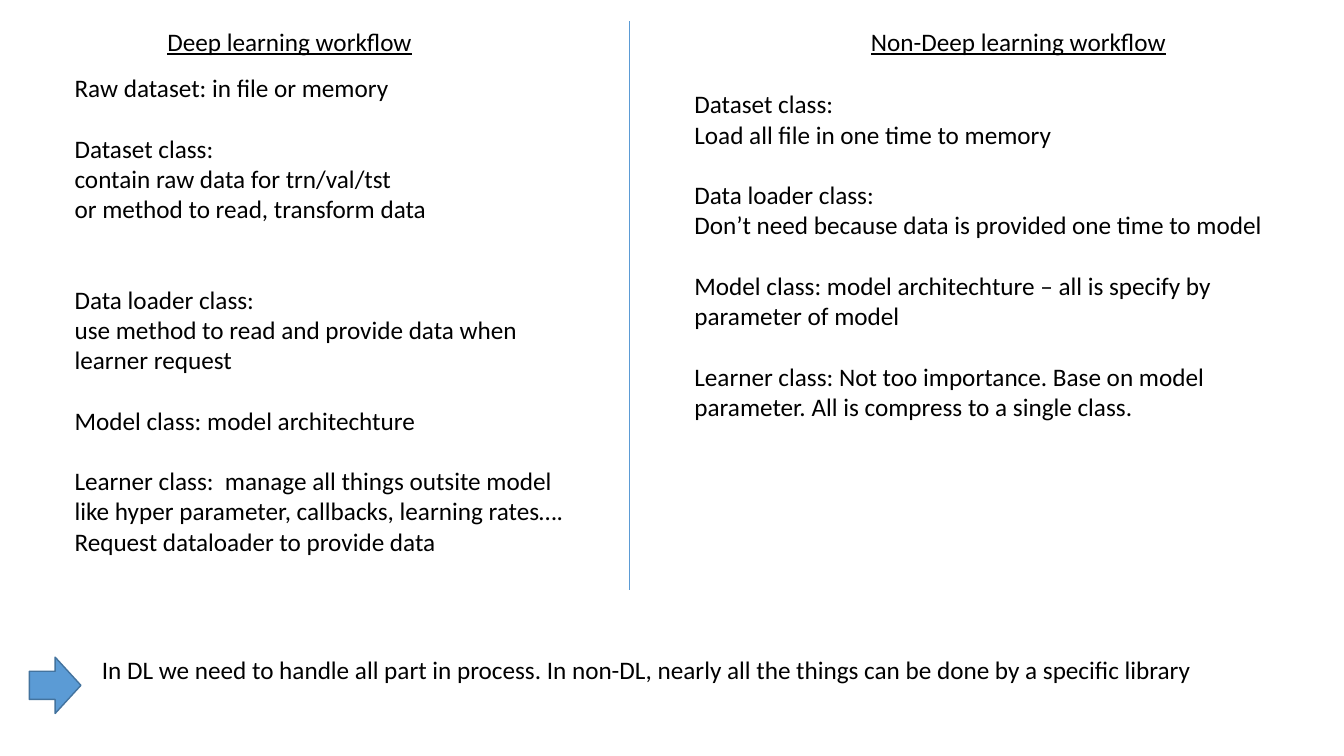
from dataclasses import dataclass

from pptx import Presentation
from pptx import util as u
from pptx.dml.color import RGBColor
from pptx.enum import shapes, text
from pptx.oxml.ns import qn
from lxml import etree


@dataclass(frozen=True)
class Theme:
    """Colours, font and type sizes of the slide."""
    ink: str = "000000"
    blue: str = "5B9BD5"
    edge: str = "43739E"
    font: str = "Calibri"
    size: float = 18
    row: float = 21.6


THEME = Theme()

DEEP = [
    (0, ["Raw dataset: in file or memory"]),
    (1, ["Dataset class:", "contain raw data for trn/val/tst",
         "or method to read, transform data"]),
    (2, ["Data loader class:",
         "use method to read and provide data when learner request"]),
    (1, ["Model class: model architechture"]),
    (1, ["Learner class:  manage all things outsite model like hyper "
         "parameter, callbacks, learning rates….",
         "Request dataloader to provide data"]),
]
OTHER = [
    (0, ["Dataset class:", "Load all file in one time to memory"]),
    (1, ["Data loader class:",
         "Don’t need because data is provided one time to model"]),
    (1, ["Model class: model architechture – all is specify by "
         "parameter of model"]),
    (1, ["Learner class: Not too importance. Base on model parameter. "
         "All is compress to a single class."]),
]
CLOSING = ("In DL we need to handle all part in process. In non-DL, nearly "
           "all the things can be done by a specific library")


def color(code):
    """Turn a hex code into a colour."""
    return RGBColor.from_string(code)


def write(slide, groups, box, wrap=True, line=False):
    """Add a text box of line groups, each led by a gap counted in rows."""
    frame = slide.shapes.add_textbox(*map(u.Cm, box)).text_frame
    frame.word_wrap = wrap
    frame.auto_size = text.MSO_AUTO_SIZE.SHAPE_TO_FIT_TEXT
    rows = [(gap if i == 0 else 0, words)
            for gap, lines in groups for i, words in enumerate(lines)]
    for i, (gap, words) in enumerate(rows):
        para = frame.add_paragraph() if i else frame.paragraphs[0]
        para.space_before = u.Pt(gap * THEME.row)
        run = para.add_run()
        run.text = words
        run.font.name = THEME.font
        run.font.size = u.Pt(THEME.size)
        run.font.color.rgb = color(THEME.ink)
        run.font.underline = line


def column(slide, title, groups, head, body):
    """Place an underlined heading and the text below it."""
    write(slide, [(0, [title])], head, wrap=False, line=True)
    write(slide, groups, body)


def divide(slide, x, top, end):
    """Draw the upright rule between the columns."""
    rule = slide.shapes.add_connector(
        shapes.MSO_CONNECTOR.STRAIGHT, *map(u.Cm, (x, top, x, end)))
    rule.line.color.rgb = color(THEME.blue)
    rule.line.width = u.Pt(0.5)
    etree.SubElement(rule._element.spPr, qn("a:effectLst"))


def footer(slide, left, top, width):
    """Place the arrow and the closing sentence beside it."""
    arrow = slide.shapes.add_shape(
        shapes.MSO_SHAPE.RIGHT_ARROW,
        *map(u.Cm, (left, top + 0.2, 1.3, 1.42)))
    arrow.shadow.inherit = False
    arrow.fill.solid()
    arrow.fill.fore_color.rgb = color(THEME.blue)
    arrow.line.color.rgb = color(THEME.edge)
    arrow.line.width = u.Pt(1)
    write(slide, [(0, [CLOSING])], (left + 1.58, top, width - 1.58, 1.02))


def main():
    """Build and save the slide."""
    deck = Presentation()
    deck.slide_width, deck.slide_height = u.Cm(33.87), u.Cm(19.05)
    slide = deck.slides.add_slide(deck.slide_layouts[6])
    divide(slide, 15.85, 0.53, 14.86)
    column(slide, "Deep learning workflow", DEEP,
           (3.97, 0.53, 6.75, 1.02), (1.63, 1.7, 12.98, 13.34))
    column(slide, "Non-Deep learning workflow", OTHER,
           (21.7, 0.53, 7.94, 1.02), (17.25, 2.11, 15.52, 9.47))
    footer(slide, 0.74, 16.36, 32.03)
    deck.save("out.pptx")


if __name__ == "__main__":
    main()
